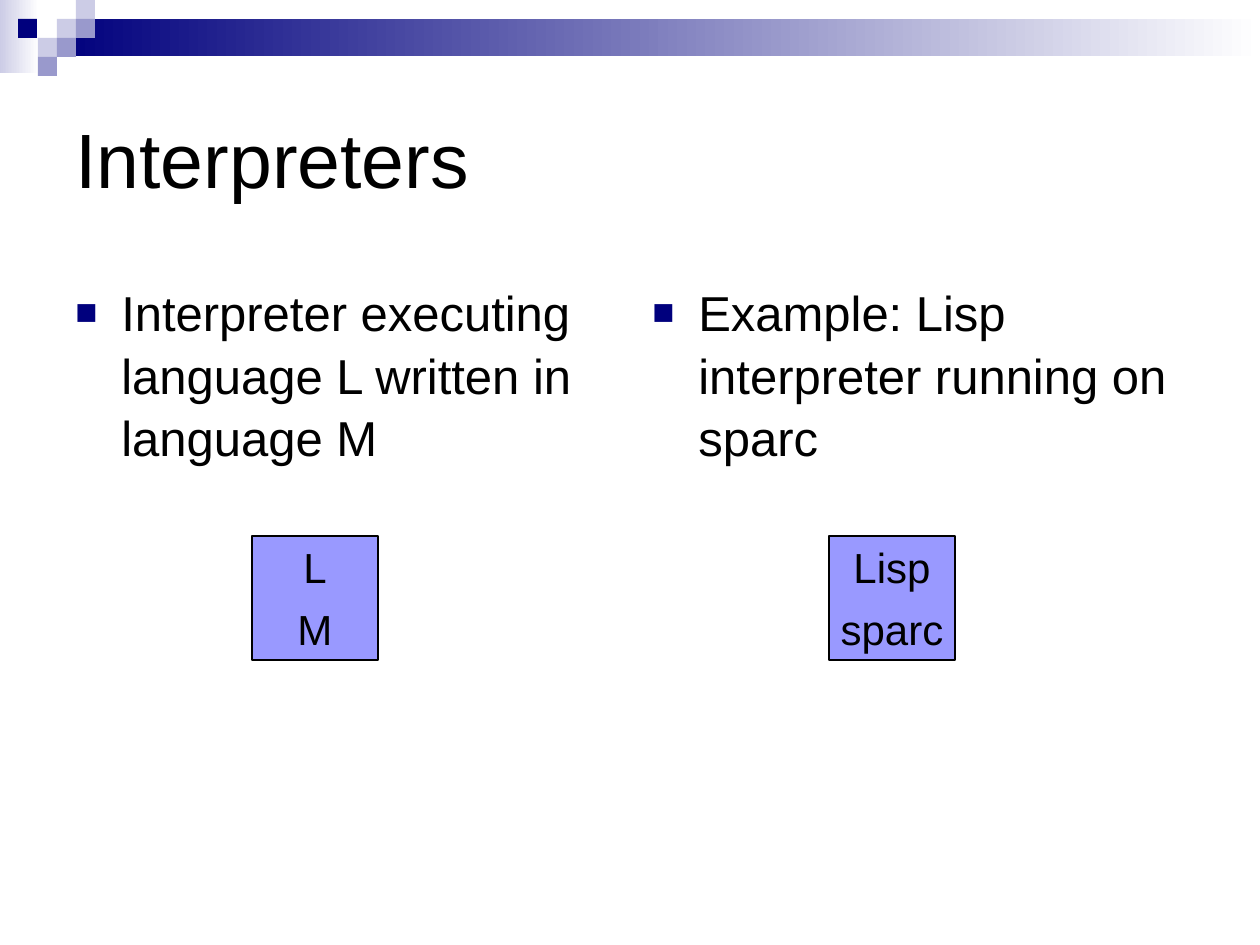
from lxml import etree
from pptx import Presentation
from pptx.dml.color import RGBColor
from pptx.enum.shapes import MSO_SHAPE
from pptx.enum.text import MSO_ANCHOR, PP_ALIGN
from pptx.oxml.ns import qn
from pptx.util import Pt

RECTANGLE = MSO_SHAPE.RECTANGLE
MIDDLE, TOP = MSO_ANCHOR.MIDDLE, MSO_ANCHOR.TOP
LEFT, CENTER = PP_ALIGN.LEFT, PP_ALIGN.CENTER

BLACK = RGBColor(0x00, 0x00, 0x00)
WHITE = RGBColor(0xFF, 0xFF, 0xFF)
NAVY = RGBColor(0x00, 0x00, 0x7D)
LAVENDER = RGBColor(0xCC, 0xCC, 0xE6)
MAUVE = RGBColor(0x99, 0x99, 0xCC)
PERIWINKLE = RGBColor(0x99, 0x99, 0xFF)

PX_PER_INCH = 126
EMU_PER_PX = 914400 / PX_PER_INCH


def px(length):
    return round(length * EMU_PER_PX)


class SlideBuilder:
    font = "Arial"

    def __init__(self, slide):
        self.slide = slide

    def block(self, x, y, width, height, fill=None, outline=None):
        block = self.slide.shapes.add_shape(
            RECTANGLE, px(x), px(y), px(width), px(height))
        block.shadow.inherit = False
        if fill is None:
            block.fill.background()
        else:
            block.fill.solid()
            block.fill.fore_color.rgb = fill
        if outline is None:
            block.line.fill.background()
        else:
            block.line.color.rgb = outline
            block.line.width = Pt(0.75)
        return block

    def fade(self, x, y, width, height, start):
        """A band that fades to white towards the right."""
        band = self.block(x, y, width, height)
        band.fill.gradient()
        band.fill.gradient_angle = 0
        for stop, color, position in zip(
                band.fill.gradient_stops, (start, WHITE), (0, 1)):
            stop.color.rgb = color
            stop.position = position

    def label(self, holder, wording, size, anchor=TOP, align=LEFT, wrap=True):
        frame = holder.text_frame
        frame.word_wrap = wrap
        frame.vertical_anchor = anchor
        paragraph = frame.paragraphs[0]
        paragraph.alignment = align
        run = paragraph.add_run()
        run.text = wording
        run.font.color.rgb = BLACK
        for name, value in {"name": self.font, "size": Pt(size)}.items():
            setattr(run.font, name, value)
        return paragraph

    def text(self, x, y, width, height, wording, size, anchor=TOP):
        box = self.slide.shapes.add_textbox(
            px(x), px(y), px(width), px(height))
        return self.label(box, wording, size, anchor)

    def bullet(self, x, y, width, height, wording):
        paragraph = self.text(x, y, width, height, wording, 28)
        paragraph.line_spacing = 1.06
        properties = paragraph._p.get_or_add_pPr()
        indent = px(46)
        for name, value in {"marL": indent, "indent": -indent}.items():
            properties.set(name, str(value))
        color = etree.SubElement(properties, qn("a:buClr"))
        etree.SubElement(color, qn("a:srgbClr"), val=str(NAVY))
        etree.SubElement(properties, qn("a:buSzPct"), val="75000")
        etree.SubElement(properties, qn("a:buFont"), typeface=self.font)
        etree.SubElement(properties, qn("a:buChar"), char="■")

    def interpreter(self, x, y, languages):
        """Stacked cells: the executed language over the one it runs on."""
        width, cell_height = 126, 62
        for row, language in enumerate(languages):
            cell = self.block(x, y + row * cell_height, width, cell_height,
                              PERIWINKLE)
            self.label(cell, language, 24, MIDDLE, CENTER, wrap=False)
        self.block(x, y, width, cell_height * len(languages), outline=BLACK)


def main():
    presentation = Presentation()
    presentation.slide_width = px(1260)
    presentation.slide_height = px(945)
    blank_layout = presentation.slide_layouts[6]
    page = SlideBuilder(presentation.slides.add_slide(blank_layout))

    # Header bands
    page.fade(0, 0, 39, 73, LAVENDER)
    page.fade(57, 19, 1203, 37, NAVY)

    # Header tiles
    tile = 19
    for x, row, color in (
        (57, 1, LAVENDER), (76, 0, LAVENDER), (76, 1, MAUVE),
        (38, 2, LAVENDER), (18, 1, NAVY), (57, 2, MAUVE), (38, 3, MAUVE),
    ):
        page.block(x, row * tile, tile, tile, color)

    # Title
    page.text(63, 63, 1134, 189, "Interpreters", 44, MIDDLE)

    # Columns: a statement with its diagram
    for x, statement, languages in (
        (63, "Interpreter executing language L written in language M",
         ("L", "M")),
        (640, "Example: Lisp interpreter running on sparc",
         ("Lisp", "sparc")),
    ):
        page.bullet(x, 273, 557, 536, statement)
        page.interpreter(x + 189, 536, languages)

    presentation.save("out.pptx")


if __name__ == "__main__":
    main()
